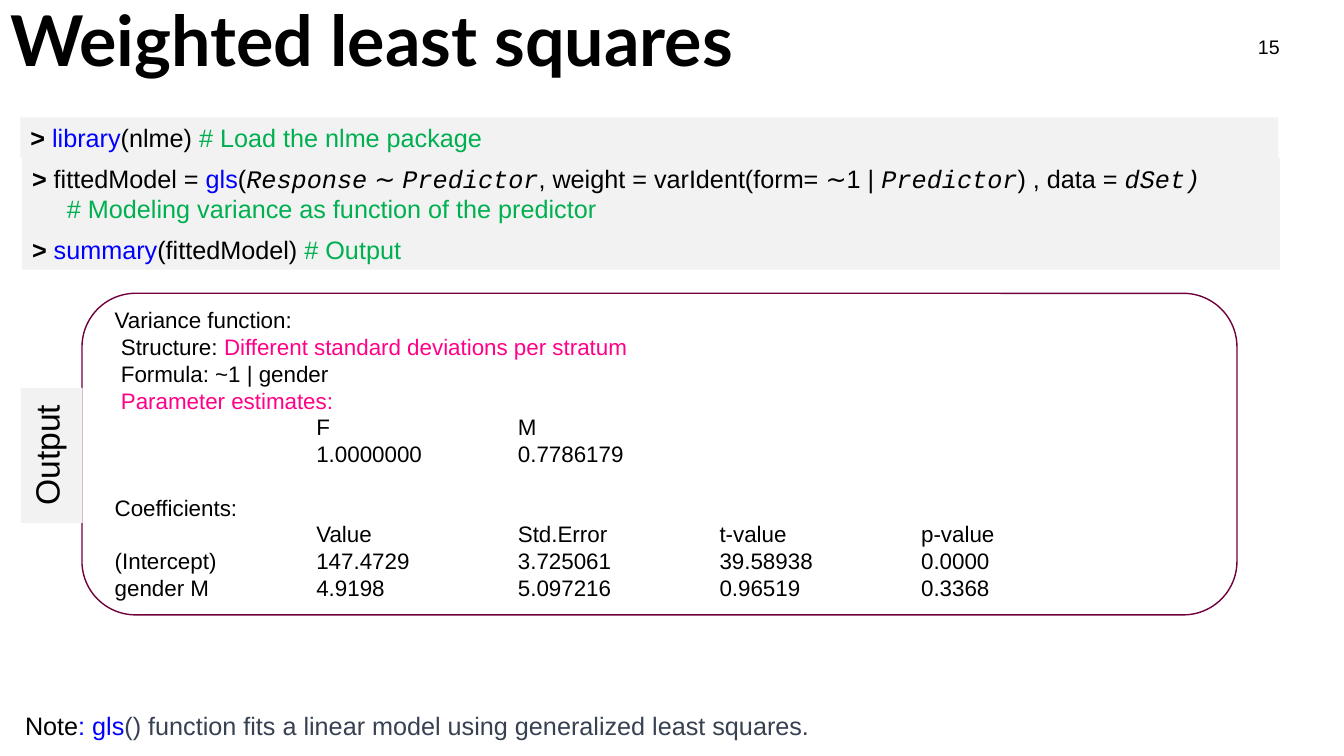
import pptx
import pptx.dml.color
import pptx.enum.shapes
import pptx.enum.text
import pptx.oxml.ns
import pptx.util
from lxml import etree

Pt = pptx.util.Pt
RGBColor = pptx.dml.color.RGBColor
qn = pptx.oxml.ns.qn
PP_ALIGN = pptx.enum.text.PP_ALIGN
MSO_ANCHOR = pptx.enum.text.MSO_ANCHOR

BLACK = RGBColor(0x00, 0x00, 0x00)
BLUE = RGBColor(0x00, 0x00, 0xFF)
GREEN = RGBColor(0x00, 0xB0, 0x50)
PINK = RGBColor(0xFF, 0x00, 0x87)
SLATE = RGBColor(0x37, 0x41, 0x51)
PLUM = RGBColor(0x70, 0x00, 0x3B)
PALE_GREY = RGBColor(0xF2, 0xF2, 0xF2)

# Style name: (font, colour, bold, italic)
STYLES = {
    "plain": ("Arial", BLACK, False, False),
    "prompt": ("Arial", BLACK, True, False),
    "function": ("Arial", BLUE, False, False),
    "comment": ("Arial", GREEN, False, False),
    "argument": ("Courier New", BLACK, False, True),
    "highlight": ("Arial", PINK, False, False),
    "note": ("Arial", SLATE, False, False),
    "title": ("Lato", BLACK, True, False),
}

TITLE = [[("Weighted least squares", "title")]]
SLIDE_NUMBER = [[("15", "plain")]]
OUTPUT_LABEL = [[("Output", "plain")]]
NOTE = [[
    ("Note", "plain"), (": gls", "function"),
    ("() function fits a linear model using generalized least squares.", "note"),
]]

PROMPT = ("> ", "prompt")
LOAD_CODE = [[
    PROMPT, ("library", "function"), ("(nlme) ", "plain"),
    ("# Load the nlme package", "comment"),
]]
FIT_CODE = [
    [
        PROMPT, ("fittedModel = ", "plain"), ("gls", "function"), ("(", "plain"),
        ("Response", "argument"), (" ∼ ", "plain"), ("Predictor", "argument"),
        (", weight = varIdent(form= ∼1 | ", "plain"), ("Predictor", "argument"),
        (") , data = ", "plain"), ("dSet)", "argument"),
    ],
    [("     # Modeling variance as function of the predictor", "comment")],
]
SUMMARY_CODE = [[
    PROMPT, ("summary", "function"), ("(fittedModel) ", "plain"),
    ("# Output", "comment"),
]]

VARIANCE_LINES = [
    [("Variance function:", "plain")],
    [(" Structure: ", "plain"), ("Different standard deviations per stratum", "highlight")],
    [(" Formula: ~1 | gender", "plain")],
    [(" ", "plain"), ("Parameter estimates:", "highlight")],
]
ESTIMATE_ROWS = [("", "F", "M"), ("", "1.0000000", "0.7786179")]
COEFFICIENT_HEADING = [("Coefficients:", "plain")]
COEFFICIENT_ROWS = [
    ("", "Value", "Std.Error", "t-value", "p-value"),
    ("(Intercept)", "147.4729", "3.725061", "39.58938", "0.0000"),
    ("gender M", "4.9198", "5.097216", "0.96519", "0.3368"),
]

SLIDE_WIDTH, SLIDE_HEIGHT = 960, 540
CODE_WIDTH = 898.5
CODE_BOXES = [  # left, top, height, text
    (14.6, 83.8, 29.1, LOAD_CODE),
    (15.8, 113, 51, FIT_CODE),
    (15.8, 163.6, 29.1, SUMMARY_CODE),
]
OUTPUT_LINE_HEIGHT = 19.15
COLUMN_STEP = 144


def fill_text(frame, lines, size):
    frame.word_wrap = True
    for index, line in enumerate(lines):
        paragraph = frame.paragraphs[0] if index == 0 else frame.add_paragraph()
        for text, style in line:
            run = paragraph.add_run()
            run.text = text
            font = run.font
            font.size = Pt(size)
            font.name, font.color.rgb, font.bold, font.italic = STYLES[style]


def add_text(slide, left, top, width, height, lines, size=18, fill=None):
    box = slide.shapes.add_textbox(Pt(left), Pt(top), Pt(width), Pt(height))
    if fill is not None:
        box.fill.solid()
        box.fill.fore_color.rgb = fill
    fill_text(box.text_frame, lines, size)
    return box.text_frame


def add_tab_stops(paragraph, count):
    tab_list = etree.SubElement(paragraph._p.get_or_add_pPr(), qn("a:tabLst"))
    for column in range(1, count + 1):
        position = str(int(Pt(column * COLUMN_STEP)))
        etree.SubElement(tab_list, qn("a:tab"), pos=position, algn="l")


def tabbed(rows):
    return [[("\t".join(row), "plain")] for row in rows]


def add_output_panel(slide):
    panel = slide.shapes.add_shape(
        pptx.enum.shapes.MSO_SHAPE.ROUNDED_RECTANGLE,
        Pt(58.6), Pt(209.5), Pt(825), Pt(229.7))
    panel.shadow.inherit = False
    panel.fill.background()
    panel.line.color.rgb = PLUM
    panel.line.width = Pt(1)

    lines = (VARIANCE_LINES + tabbed(ESTIMATE_ROWS)
             + [COEFFICIENT_HEADING] + tabbed(COEFFICIENT_ROWS))
    frame = add_text(slide, 74.9, 215.3, 786, 220, lines, size=16)
    for line, paragraph in zip(lines, frame.paragraphs):
        paragraph.line_spacing = Pt(OUTPUT_LINE_HEIGHT)
        if line is COEFFICIENT_HEADING:
            paragraph.space_before = Pt(OUTPUT_LINE_HEIGHT)
        tab_count = line[0][0].count("\t")
        if tab_count:
            add_tab_stops(paragraph, tab_count)

    label = add_text(slide, 15, 277, 44, 96.5, OUTPUT_LABEL, size=24, fill=PALE_GREY)
    label._txBody.bodyPr.set("vert", "vert270")
    label.paragraphs[0].alignment = PP_ALIGN.CENTER


def main():
    presentation = pptx.Presentation()
    presentation.slide_width = Pt(SLIDE_WIDTH)
    presentation.slide_height = Pt(SLIDE_HEIGHT)
    slide = presentation.slides.add_slide(presentation.slide_layouts[5])

    title = slide.shapes.title
    title.left, title.top, title.width, title.height = Pt(0), Pt(0.7), Pt(SLIDE_WIDTH), Pt(61)
    fill_text(title.text_frame, TITLE, 50)
    title.text_frame.vertical_anchor = MSO_ANCHOR.BOTTOM
    title.text_frame.paragraphs[0].alignment = PP_ALIGN.LEFT
    title.text_frame.paragraphs[0].line_spacing = 0.9

    add_text(slide, 891.4, 21.6, 46.8, 28.8, SLIDE_NUMBER, size=14)
    for left, top, height, code in CODE_BOXES:
        add_text(slide, left, top, CODE_WIDTH, height, code, fill=PALE_GREY)
    add_output_panel(slide)
    add_text(slide, 10.8, 504, 939, 29, NOTE)

    presentation.save("out.pptx")


if __name__ == "__main__":
    main()
